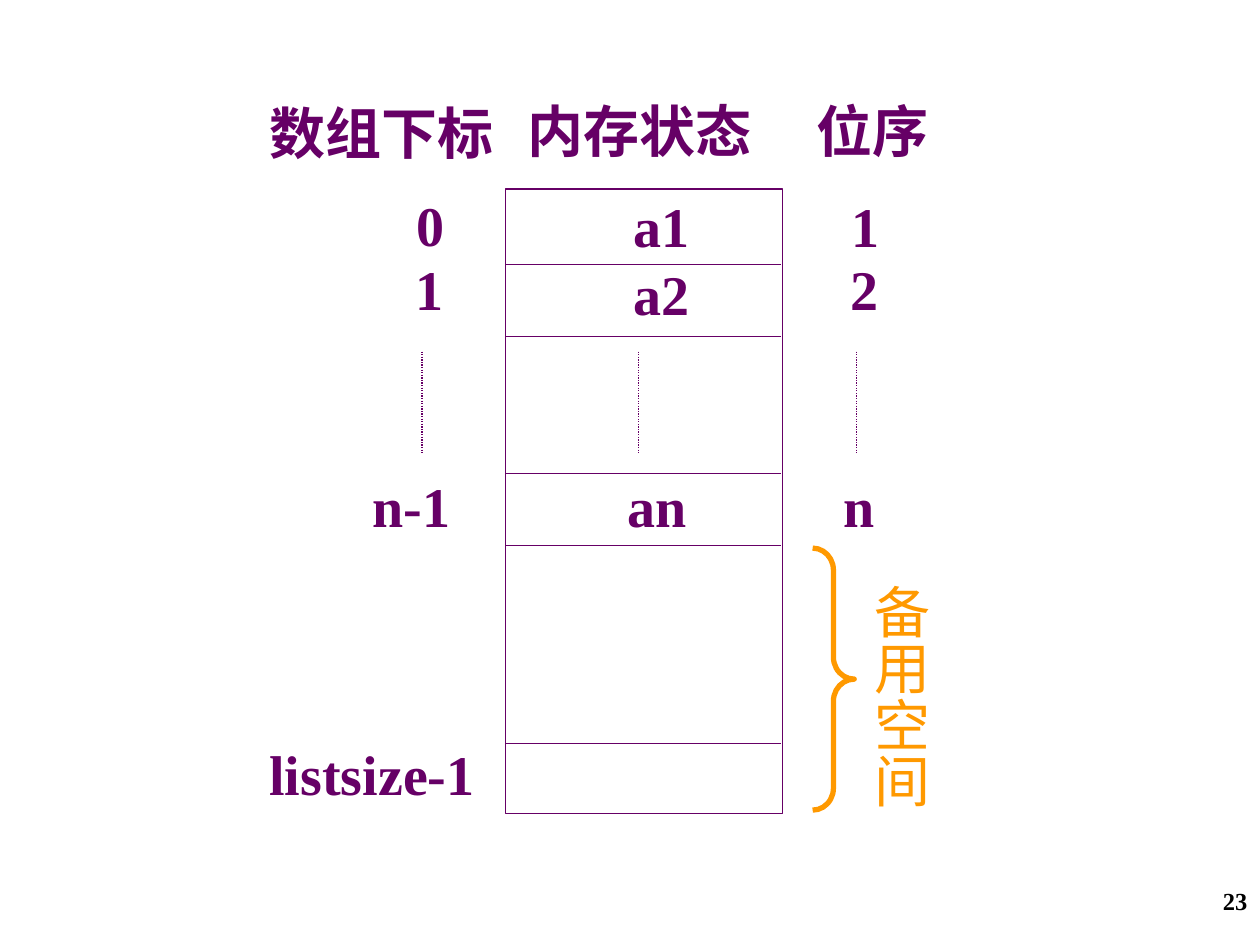
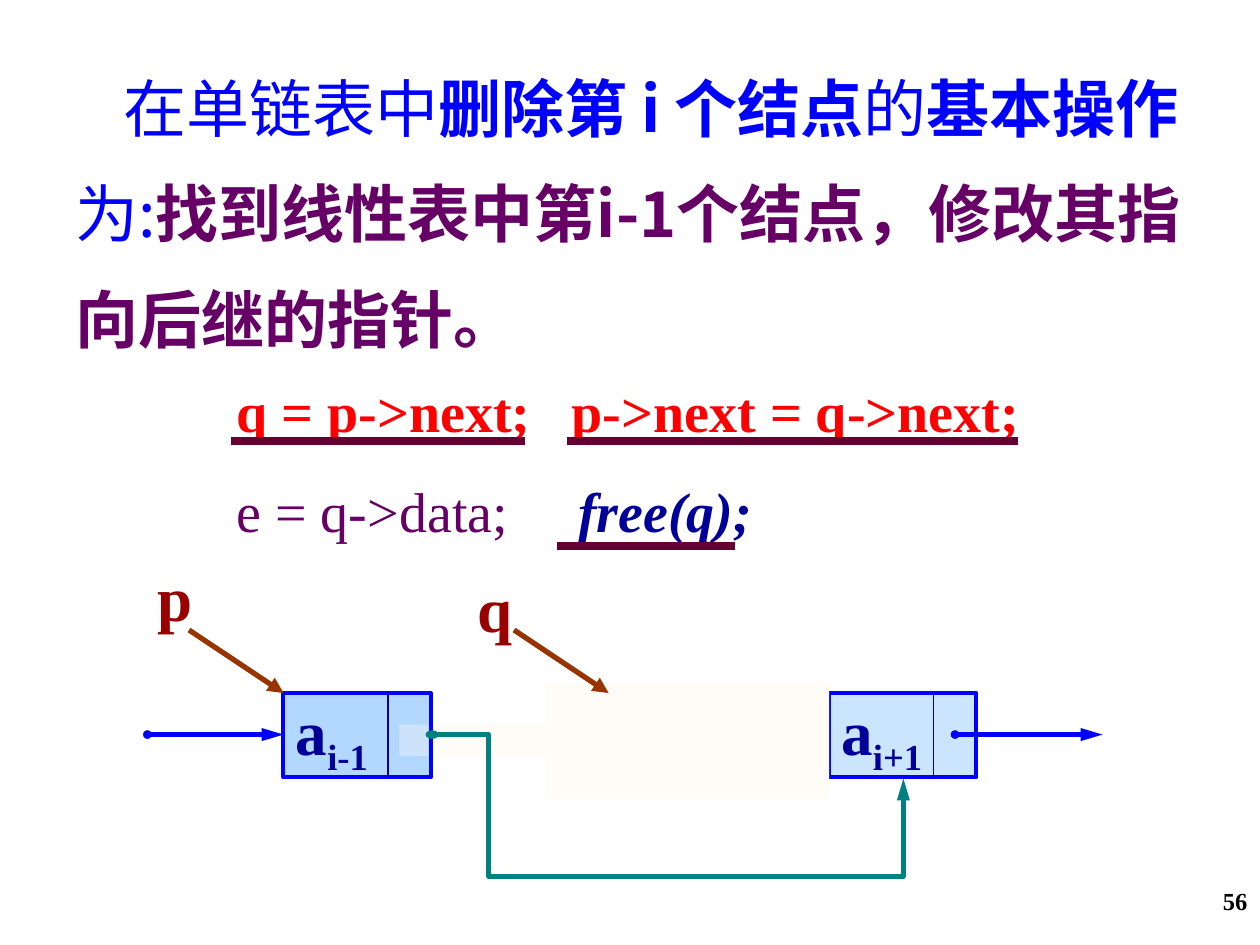
from lxml import etree
from pptx import Presentation
from pptx.dml.color import RGBColor
from pptx.enum.dml import MSO_LINE
from pptx.enum.shapes import MSO_CONNECTOR, MSO_SHAPE
from pptx.enum.text import MSO_ANCHOR, MSO_AUTO_SIZE, PP_ALIGN
from pptx.oxml.ns import qn
from pptx.util import Inches, Pt

STRAIGHT, ELBOW = MSO_CONNECTOR.STRAIGHT, MSO_CONNECTOR.ELBOW
RECT, BRACE = MSO_SHAPE.RECTANGLE, MSO_SHAPE.RIGHT_BRACE
DOTS = MSO_LINE.ROUND_DOT
TOP, MIDDLE = MSO_ANCHOR.TOP, MSO_ANCHOR.MIDDLE
FIT, FIXED = MSO_AUTO_SIZE.SHAPE_TO_FIT_TEXT, MSO_AUTO_SIZE.NONE
LEFT, RIGHT = PP_ALIGN.LEFT, PP_ALIGN.RIGHT

SERIF, CJK = "Times New Roman", "Noto Sans CJK SC"
PURPLE, ORANGE, BLUE, NAVY = "660066", "FF9900", "0000FF", "000099"
RED, MAROON, BROWN, PLUM = "FF0000", "990000", "993300", "660033"
TEAL, CREAM, BLACK = "008080", "FFFBF7", "000000"
DEEP_SKY, SKY, PALE_SKY = "B2D8FF", "CCE5FF", "CCE3FB"


def rgb(value):
    return RGBColor.from_string(value)


class Deck:
    """Holds the shared style and draws elements on the current slide."""

    def __init__(self):
        self.prs = Presentation()
        self.prs.slide_width, self.prs.slide_height = Inches(10), Inches(7.5)
        self.s = None

    def slide(self, number):
        self.s = self.prs.slides.add_slide(self.prs.slide_layouts[6])
        self.text(7.67, 6.98, 2.33, 0.52, [[self.run(number, 14, BLACK)]],
                  align=RIGHT, wrap=True, fit=FIXED)

    def run(self, text, size=32, color=PURPLE, bold=True, italic=False,
            font=SERIF, baseline=0):
        return text, size, color, bold, italic, font, baseline

    def fill_text(self, tf, paragraphs, align=LEFT, spacing=None, indent=0, tabs=()):
        for i, runs in enumerate(paragraphs):
            p = tf.paragraphs[0] if i == 0 else tf.add_paragraph()
            p.alignment = align
            if spacing:
                p.line_spacing = spacing
            pPr = p._p.get_or_add_pPr()
            if indent:
                pPr.set("indent", str(Inches(indent)))
            if tabs:
                stops = etree.SubElement(pPr, qn("a:tabLst"))
                etree.SubElement(stops, qn("a:tab"), pos=str(Inches(tabs[i])), algn="l")
            for text, size, color, bold, italic, font, baseline in runs:
                r = p.add_run()
                r.text = text
                r.font.size, r.font.name = Pt(size), font
                r.font.bold, r.font.italic = bold, italic
                r.font.color.rgb = rgb(color)
                rPr = r._r.get_or_add_rPr()
                etree.SubElement(rPr, qn("a:ea"), typeface=CJK)
                if baseline:
                    rPr.set("baseline", str(baseline * 1000))

    def text(self, x, y, w, h, paragraphs, wrap=False, fit=FIT, vertical=False, **style):
        sp = self.s.shapes.add_textbox(Inches(x), Inches(y), Inches(w), Inches(h))
        tf = sp.text_frame
        tf.word_wrap, tf.auto_size, tf.vertical_anchor = wrap, fit, TOP
        if vertical:
            sp.element.txBody.bodyPr.set("vert", "eaVert")
            tf.margin_left = tf.margin_right = Inches(0.05)
            tf.margin_top = tf.margin_bottom = Inches(0.1)
        self.fill_text(tf, paragraphs, **style)

    def shape(self, kind, x, y, w, h, fill=None, line=None, width=0.75):
        sp = self.s.shapes.add_shape(kind, Inches(x), Inches(y), Inches(w), Inches(h))
        sp.shadow.inherit = False
        if fill:
            sp.fill.solid()
            sp.fill.fore_color.rgb = rgb(fill)
        else:
            sp.fill.background()
        if line:
            sp.line.color.rgb, sp.line.width = rgb(line), Pt(width)
        else:
            sp.line.fill.background()
        return sp

    def line(self, x1, y1, x2, y2, color=PURPLE, width=0.75, dash=None,
             head=None, tail=None, kind=STRAIGHT):
        c = self.s.shapes.add_connector(kind, Inches(x1), Inches(y1), Inches(x2), Inches(y2))
        c.line.color.rgb, c.line.width = rgb(color), Pt(width)
        if dash:
            c.line.dash_style = dash
        ln = c.line._get_or_add_ln()
        for tag, end in (("a:headEnd", head), ("a:tailEnd", tail)):
            if end:
                shape, w, length = end
                etree.SubElement(ln, qn(tag), type=shape, w=w, len=length)
        etree.SubElement(c.element.spPr, qn("a:effectLst"))
        return c

    def pointer(self, x, y, w):
        self.line(x, y, x + w, y, BLUE, 2.5, head=("oval", "sm", "sm"),
                  tail=("triangle", "med", "lg"))

    def bent_pointer(self, x1, y1, x2, y2, *bends):
        c = self.line(x1, y1, x2, y2, TEAL, 2.5, head=("oval", "sm", "med"),
                      tail=("triangle", "med", "lg"), kind=ELBOW)
        geom = c.element.spPr.find(qn("a:prstGeom"))
        geom.set("prst", "bentConnector4")
        guides = geom.find(qn("a:avLst"))
        if guides is None:
            guides = etree.SubElement(geom, qn("a:avLst"))
        for i, bend in enumerate(bends, 1):
            etree.SubElement(guides, qn("a:gd"), name=f"adj{i}",
                             fmla=f"val {round(bend * 100000)}")

    def node(self, x, y, index, fill):
        sp = self.shape(RECT, x, y, 1.17, 0.67, fill, BLUE, 2.25)
        sp.text_frame.word_wrap = False
        sp.text_frame.vertical_anchor = MIDDLE
        self.fill_text(sp.text_frame, [[self.run("a", 36, NAVY),
                                        self.run(index, 36, NAVY, baseline=-25)]])
        self.line(x + 0.83, y, x + 0.83, y + 0.67, NAVY)

    def label(self, x, y, w, text):
        self.text(x, y, w, 0.64, [[self.run(text)]])


def array_slide(d):
    d.slide("23")
    d.shape(RECT, 4.01, 1.5, 2.2, 4.96, line=PURPLE)
    for y in (2.1, 2.67, 3.76, 4.33, 5.9):
        d.line(4.01, y, 6.2, y)
    for x in (3.35, 5.07, 6.8):
        d.line(x, 2.79, x, 3.6, dash=DOTS)
    for x, y, w, text in (
        (2.04, 0.73, 1.98, "数组下标"), (4.09, 0.72, 1.98, "内存状态"), (6.38, 0.72, 1.09, "位序"),
        (3.21, 1.46, 0.43, "0"), (4.93, 1.47, 0.67, "a1"), (6.66, 1.47, 0.43, "1"),
        (3.2, 1.97, 0.43, "1"), (4.93, 2.01, 0.67, "a2"), (6.65, 1.97, 0.43, "2"),
        (2.86, 3.69, 0.83, "n-1"), (4.88, 3.69, 0.69, "an"), (6.6, 3.69, 0.46, "n"),
        (2.04, 5.82, 1.85, "listsize-1"),
    ):
        d.label(x, y, w, text)
    brace = d.shape(BRACE, 6.45, 4.35, 0.33, 2.08, line=ORANGE, width=3)
    brace.adjustments[0] = 0.53
    d.text(6.73, 4.54, 0.73, 2.08, [[d.run("备用空间", color=ORANGE, bold=False)]],
           wrap=True, vertical=True)


def deletion_slide(d):
    d.slide("56")
    intro = (("在单链表中", BLUE, False), ("删除第 i 个结点", BLUE, True), ("的", BLUE, False),
             ("基本操作", BLUE, True), ("为:", BLUE, False),
             ("找到线性表中第i-1个结点，修改其指向后继的指针。", PURPLE, True))
    d.text(0.5, 0.26, 9.02, 2.61,
           [[d.run(text, 36, color, bold, font=CJK) for text, color, bold in intro]],
           wrap=True, spacing=1.4, indent=0.38)

    d.node(2.25, 5.5, "i-1", DEEP_SKY)
    d.shape(RECT, 3.17, 5.75, 0.23, 0.25, PALE_SKY)
    d.shape(RECT, 3.44, 5.75, 0.89, 0.25, CREAM)
    d.node(6.58, 5.5, "i+1", SKY)
    d.shape(RECT, 4.33, 5.42, 2.25, 0.92, CREAM)
    d.pointer(1.17, 5.83, 1.08)
    d.pointer(7.58, 5.83, 1.17)
    d.bent_pointer(3.43, 5.83, 7.17, 6.18, 0.12, 3.22)

    d.text(1.78, 2.67, 6.64, 1.7,
           [[d.run("q = p->next;\tp->next = q->next;", color=RED)],
            [d.run("e = q->data;\t", bold=False), d.run("free(q);", color=NAVY, italic=True)]],
           spacing=1.5, tabs=(2.66, 2.71))
    for x1, x2, y in ((1.83, 4.17, 3.5), (4.5, 8.08, 3.5), (4.42, 5.83, 4.33)):
        d.line(x1, y, x2, y, PLUM, 4.5)
    for x, text_x, text_y, name in ((1.5, 1.15, 4.38, "p"), (4.08, 3.69, 4.47, "q")):
        d.line(x, 5, x + 0.75, 5.5, BROWN, 3, tail=("triangle", "med", "med"))
        d.text(text_x, text_y, 0.48, 0.7, [[d.run(name, 36, MAROON)]])


def main():
    d = Deck()
    array_slide(d)
    deletion_slide(d)
    d.prs.save("out.pptx")


if __name__ == "__main__":
    main()
